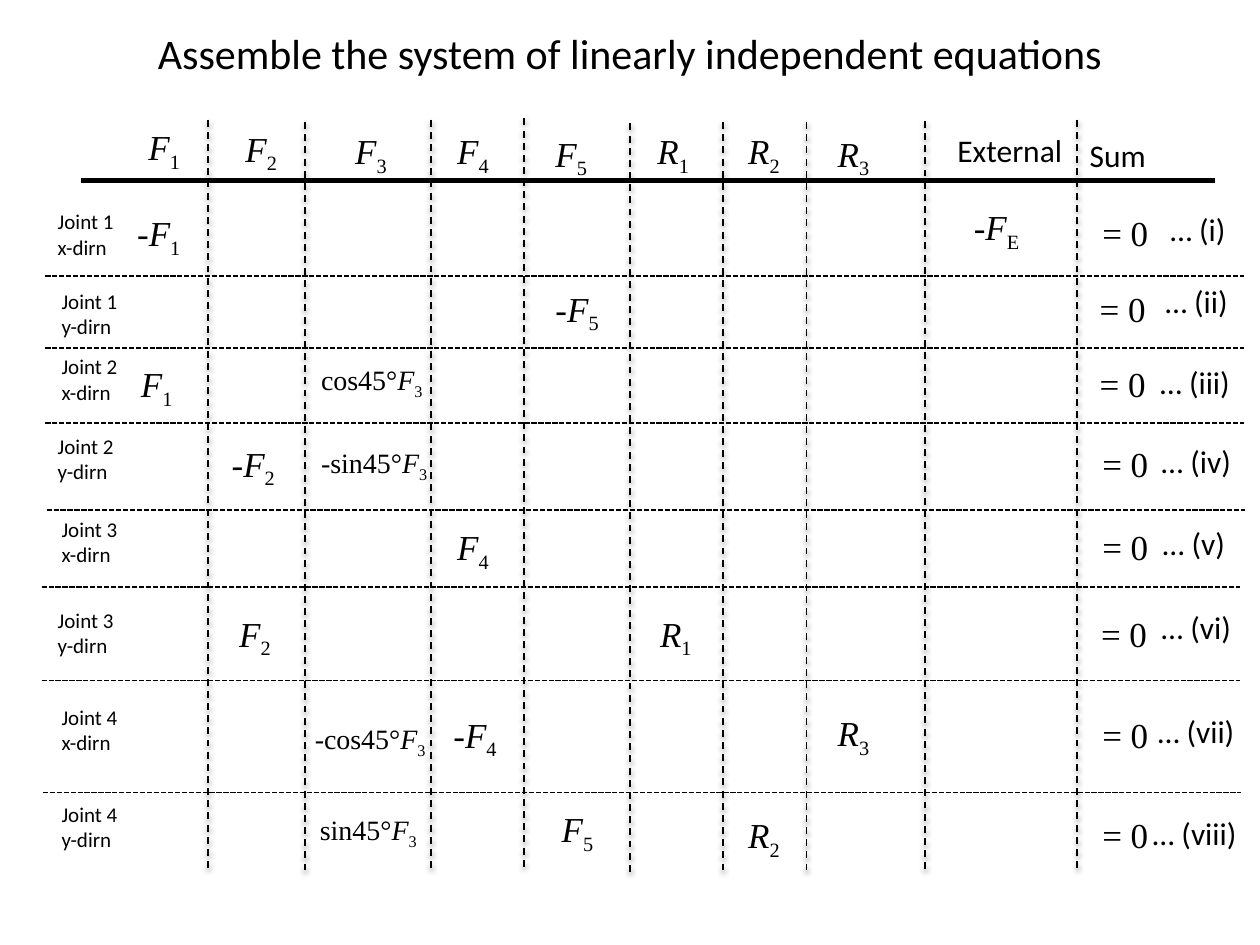
from collections import namedtuple
from lxml import etree
from pptx import Presentation
from pptx.dml.color import RGBColor
from pptx.enum import dml, shapes, text
from pptx.oxml import ns
from pptx.util import Inches, Pt

BLACK = RGBColor(0, 0, 0)
SANS, SERIF = "Calibri", "Times New Roman"
Box = namedtuple("Box", "left top width height")
Term = namedtuple("Term", "left top factor symbol index width")
Equation = namedtuple("Equation", "label indent top terms zero_left zero_top note note_left note_top note_width")

HEADINGS = [
    (0, 0, "F", "1"), (0.77, 0.01, "F", "2"), (1.64, 0.03, "F", "3"),
    (2.45, 0.03, "F", "4"), (3.23, 0.05, "F", "5"), (4.04, 0.03, "R", "1"),
    (4.76, 0.03, "R", "2"), (5.47, 0.05, "R", "3"),
]
COLUMN_RULES = [
    (1.32, 0.01), (2.09, 0.03), (3.09, 0.01), (3.83, 0), (4.67, 0.04),
    (5.41, 0.03), (6.07, 0.03), (7.01, 0.02), (8.22, 0.01),
]
ROW_RULES = [
    (0.03, 1.25), (0.03, 1.82), (0.03, 2.42), (0.04, 3.11),
    (0, 3.72), (0, 4.46), (0.01, 5.35),
]
EQUATIONS = [
    Equation("Joint 1 x-dirn", 0, 1.61,
             [Term(0.63, 0.02, "", "-F", "1", 0.59), Term(7.27, -0.03, "", "-F", "E", 0.61)],
             8.29, 0.02, "… (i)", 8.83, 0.01, 0.64),
    Equation("Joint 1 y-dirn", 0.03, 2.24,
             [Term(3.95, -0.01, "", "-F", "5", 0.59)],
             8.27, -0.01, "… (ii)", 8.79, -0.05, 0.7),
    Equation("Joint 2 x-dirn", 0.03, 2.76,
             [Term(0.66, 0.07, "", "F", "1", 0.5), Term(2.09, 0.07, "cos45°", "F", "3", 1.03)],
             8.27, 0.07, "… (iii)", 8.75, 0.07, 0.76),
    Equation("Joint 2 y-dirn", 0, 3.39,
             [Term(1.38, 0.07, "", "-F", "2", 0.59), Term(2.09, 0.1, "-sin45°", "F", "3", 1.06)],
             8.29, 0.07, "… (iv)", 8.76, 0.07, 0.76),
    Equation("Joint 3 x-dirn", 0.03, 4.05,
             [Term(3.17, 0.07, "", "F", "4", 0.5)],
             8.29, 0.07, "… (v)", 8.77, 0.06, 0.7),
    Equation("Joint 3 y-dirn", 0, 4.77,
             [Term(1.44, 0.04, "", "F", "2", 0.5), Term(4.78, 0.04, "", "R", "1", 0.5)],
             8.28, 0.04, "… (vi)", 8.76, 0.01, 0.76),
    Equation("Joint 4 x-dirn", 0.03, 5.54,
             [Term(2.04, 0.14, "-cos45°", "F", "3", 1.1), Term(3.14, 0.07, "", "-F", "4", 0.59),
              Term(6.19, 0.06, "", "R", "3", 0.5)],
             8.29, 0.07, "… (vii)", 8.73, 0.06, 0.82),
    Equation("Joint 4 y-dirn", 0.03, 6.31,
             [Term(4, 0.05, "", "F", "5", 0.5), Term(2.08, 0.09, "sin45°", "F", "3", 0.99),
              Term(5.48, 0.1, "", "R", "2", 0.5)],
             8.29, 0.1, "… (viii)", 8.69, 0.1, 0.87),
]


def add_run(paragraph, wording, size, font_name, italic=False, subscript=False):
    run = paragraph.add_run()
    run.text = wording
    run.font.size = Pt(size)
    run.font.name = font_name
    run.font.italic = italic
    run.font.color.rgb = BLACK
    if subscript:
        run._r.get_or_add_rPr().set("baseline", "-25000")


def add_text(slide, box, wrap=False):
    frame = slide.shapes.add_textbox(*(Inches(length) for length in box)).text_frame
    frame.word_wrap = wrap
    frame.auto_size = text.MSO_AUTO_SIZE.SHAPE_TO_FIT_TEXT
    return frame.paragraphs[0]


def add_term(slide, box, term):
    size, height = (16, 0.37) if term.factor else (20, 0.44)
    paragraph = add_text(slide, Box(box.left + term.left, box.top + term.top, term.width, height))
    if term.factor:
        add_run(paragraph, term.factor, size, SERIF)
    add_run(paragraph, term.symbol, size, SERIF, italic=True)
    add_run(paragraph, term.index, size, SERIF, subscript=True)


def add_rule(slide, left, top, width, height, weight=1, dash=None, shadow=False):
    rule = slide.shapes.add_connector(
        shapes.MSO_CONNECTOR.STRAIGHT,
        Inches(left), Inches(top), Inches(left + width), Inches(top + height))
    rule.line.color.rgb = BLACK
    rule.line.width = Pt(weight)
    if dash:
        rule.line.dash_style = dash
    effects = etree.SubElement(rule._element.spPr, ns.qn("a:effectLst"))
    if shadow:
        outer = etree.SubElement(effects, ns.qn("a:outerShdw"), blurRad=str(Pt(3.1)),
                                 dist=str(Pt(1.6)), dir="5400000", rotWithShape="0")
        tint = etree.SubElement(outer, ns.qn("a:srgbClr"), val=str(BLACK))
        etree.SubElement(tint, ns.qn("a:alpha"), val="38000")


def add_title(slide, box):
    title = slide.shapes.title
    title.left, title.top, title.width, title.height = (Inches(length) for length in box)
    title.text_frame.vertical_anchor = text.MSO_ANCHOR.MIDDLE
    paragraph = title.text_frame.paragraphs[0]
    paragraph.alignment = text.PP_ALIGN.CENTER
    add_run(paragraph, "Assemble the system of linearly independent equations", 24, SANS)


def add_grid(slide, box):
    add_rule(slide, box.left + 0.31, box.top + 0.49, 9, 0, weight=3)
    for left, top in COLUMN_RULES:
        add_rule(slide, box.left + left, box.top + top, 0, box.height,
                 dash=dml.MSO_LINE.DASH, shadow=True)
    for left, top in ROW_RULES:
        add_rule(slide, box.left + left, box.top + top, box.width, 0,
                 dash=dml.MSO_LINE.SQUARE_DOT)


def add_headings(slide, box):
    for left, top, symbol, index in HEADINGS:
        add_term(slide, box, Term(left, top, "", symbol, index, 0.5))
    for left, top, width, heading in [(6.42, 0.04, 1.04, "External"), (7.47, 0.08, 0.65, "Sum")]:
        paragraph = add_text(slide, Box(box.left + left, box.top + top, width, 0.4))
        add_run(paragraph, heading, 18, SANS)


def add_equation(slide, box, equation):
    label = add_text(slide, Box(box.left + equation.indent, box.top, 0.72, box.height), wrap=True)
    add_run(label, equation.label, 12, SANS)
    for term in equation.terms:
        add_term(slide, box, term)
    zero = add_text(slide, Box(box.left + equation.zero_left, box.top + equation.zero_top, 0.57, 0.44))
    add_run(zero, "= 0", 20, SERIF)
    note = add_text(slide, Box(box.left + equation.note_left, box.top + equation.note_top,
                               equation.note_width, 0.4))
    add_run(note, equation.note, 18, SANS)


def main():
    deck = Presentation()
    deck.slide_width, deck.slide_height = Inches(10), Inches(7.5)
    slide = deck.slides.add_slide(deck.slide_layouts[5])
    add_title(slide, Box(0.5, 0.08, 9, 0.68))
    add_grid(slide, Box(0.33, 0.94, 9.51, 5.97))
    add_headings(slide, Box(1.08, 0.95, 8.12, 0.48))
    for equation in EQUATIONS:
        add_equation(slide, Box(0.36, equation.top, 9.51, 0.5), equation)
    deck.save("out.pptx")


if __name__ == "__main__":
    main()
